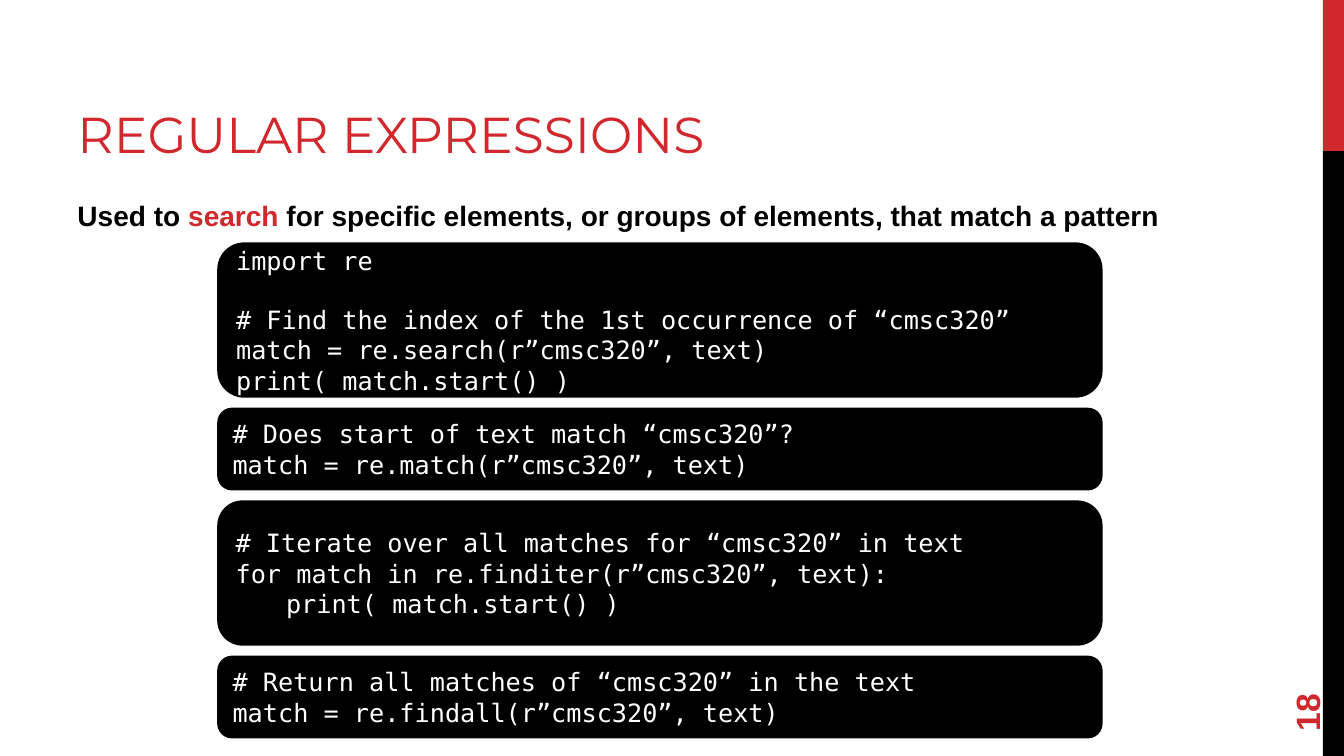
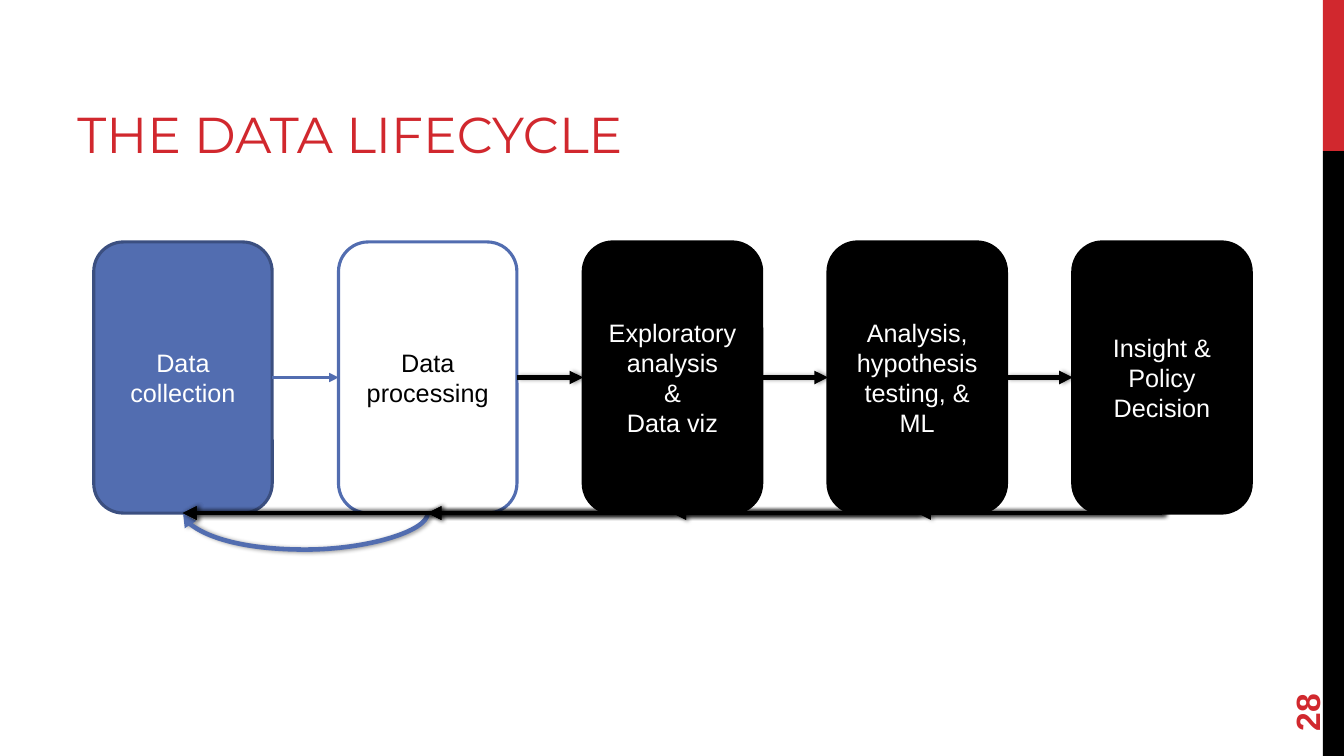
from lxml import etree
from pptx import Presentation
from pptx.dml.color import RGBColor
from pptx.enum.shapes import MSO_CONNECTOR, MSO_SHAPE
from pptx.enum.text import MSO_ANCHOR, PP_ALIGN
from pptx.oxml.ns import qn
from pptx.util import Emu, Inches, Pt

STRAIGHT, CURVE = MSO_CONNECTOR.STRAIGHT, MSO_CONNECTOR.CURVE
RECTANGLE, ROUNDED = MSO_SHAPE.RECTANGLE, MSO_SHAPE.ROUNDED_RECTANGLE
TOP, MIDDLE, BOTTOM = MSO_ANCHOR.TOP, MSO_ANCHOR.MIDDLE, MSO_ANCHOR.BOTTOM
LEFT, CENTER = PP_ALIGN.LEFT, PP_ALIGN.CENTER
SIDE_LEFT, SIDE_BOTTOM, SIDE_RIGHT = 1, 2, 3

COLORS = {
    "red": "D1282E",
    "black": "000000",
    "white": "FFFFFF",
    "blue": "526DB0",
    "navy": "3B4F80",
}
BODY_FONT, TITLE_FONT, CODE_FONT = "Arial", "Montserrat", "DejaVu Sans Mono"
CODE_LINE = 21  # points


def rgb(name):
    return RGBColor.from_string(COLORS[name])


def write_text(shape, text, font=BODY_FONT, size=18, color="black", bold=False,
               align=LEFT, anchor=MIDDLE, highlights=None):
    """Write lines of text; a blank line becomes space before the next one."""
    frame = shape.text_frame
    frame.word_wrap = True
    frame.vertical_anchor = anchor
    paragraph, skipped = frame.paragraphs[0], 0
    for index, line in enumerate(text.split("\n")):
        if not line:
            skipped += 1
            continue
        if index:
            paragraph = frame.add_paragraph()
        paragraph.alignment = align
        if skipped:
            paragraph.space_before = Pt(skipped * CODE_LINE)
            skipped = 0
        for part in line.split("*"):
            run = paragraph.add_run()
            run.text = part
            run.font.name, run.font.size, run.font.bold = font, Pt(size), bold
            run.font.color.rgb = rgb((highlights or {}).get(part, color))


def add_text(slide, box, text, rotation=0, **text_format):
    shape = slide.shapes.add_textbox(*map(Inches, box))
    shape.rotation = rotation
    write_text(shape, text, **text_format)


def add_box(slide, kind, box, fill, line=None):
    shape = slide.shapes.add_shape(kind, *map(Inches, box))
    shape.shadow.inherit = False
    shape.fill.solid()
    shape.fill.fore_color.rgb = rgb(fill)
    if line:
        shape.line.color.rgb = rgb(line)
        shape.line.width = Pt(2.25)
    else:
        shape.line.fill.background()
    return shape


def add_arrow(slide, start, end, sides, color, width=3.25, shadow=True, kind=STRAIGHT):
    connector = slide.shapes.add_connector(kind, 0, 0, 0, 0)
    connector.begin_connect(start, sides[0])
    connector.end_connect(end, sides[1])
    connector.line.color.rgb = rgb(color)
    connector.line.width = Pt(width)
    etree.SubElement(connector.line._get_or_add_ln(), qn("a:tailEnd"), type="triangle")
    properties = connector._element.spPr
    effects = etree.SubElement(properties, qn("a:effectLst"))
    if shadow:
        outer = etree.SubElement(effects, qn("a:outerShdw"), blurRad=str(Pt(3.1)),
                                 dist=str(Pt(1.8)), dir="0", rotWithShape="0")
        tint = etree.SubElement(outer, qn("a:srgbClr"), val=COLORS["black"])
        etree.SubElement(tint, qn("a:alpha"), val="40000")
    return connector


def add_loop(slide, start, end, depth, color):
    """Curved arrow that hangs below two boxes, from bottom to bottom."""
    connector = add_arrow(slide, start, end, (SIDE_BOTTOM, SIDE_BOTTOM), color, kind=CURVE)
    span = start.left - end.left
    middle = end.left + end.width // 2 + span // 2
    thickness = 635
    # A quarter turn makes the bend of the connector point down
    connector.left, connector.width = Emu(middle), Emu(thickness)
    connector.top, connector.height = Emu(start.top + start.height - span // 2), Emu(span)
    properties = connector._element.spPr
    transform = properties.find(qn("a:xfrm"))
    for flip in ("flipH", "flipV"):
        transform.attrib.pop(flip, None)
    transform.set("rot", "5400000")
    guides = properties.find(qn("a:prstGeom")).find(qn("a:avLst"))
    bend = round(Inches(depth) / thickness * 100000)
    etree.SubElement(guides, qn("a:gd"), name="adj1", fmla=f"val {bend}")


def add_base(presentation, title, number):
    """Blank slide with side bands, title and page number."""
    slide = presentation.slides.add_slide(presentation.slide_layouts[6])
    add_box(slide, RECTANGLE, (13.12, 0, 0.21, 1.5), "red")
    add_box(slide, RECTANGLE, (13.12, 1.5, 0.21, 6), "black")
    add_text(slide, (0.67, 0.17, 8.44, 1.5), title, font=TITLE_FONT, size=36,
             color="red", anchor=BOTTOM)
    add_text(slide, (12.24, 6.37, 1.44, 0.53), number, rotation=270, size=24,
             color="red", bold=True)
    return slide


def add_code_stack(slide, left, top, width, gap, blocks):
    """Black code panels, one below the other."""
    for height, code in blocks:
        panel = add_box(slide, ROUNDED, (left, top, width, height), "black", "black")
        write_text(panel, code, font=CODE_FONT, color="white")
        top += height + gap


def add_lifecycle(slide, box, stage_width, stages):
    """Row of stages with arrows forward and back to every earlier stage."""
    left, top, width, height = box
    pitch = (width - stage_width) / (len(stages) - 1)
    placed = []
    for index, (text, fill, line, color) in enumerate(stages):
        stage = add_box(slide, ROUNDED, (left + index * pitch, top, stage_width, height),
                        fill, line)
        write_text(stage, text, color=color, align=CENTER)
        if index == 1:
            add_arrow(slide, placed[0], stage, (SIDE_RIGHT, SIDE_LEFT), "blue",
                      width=2.25, shadow=False)
            add_loop(slide, stage, placed[0], 0.32, "blue")
        elif index > 1:
            add_arrow(slide, placed[-1], stage, (SIDE_RIGHT, SIDE_LEFT), "black")
            for earlier in reversed(placed):
                add_arrow(slide, stage, earlier, (SIDE_BOTTOM, SIDE_BOTTOM), "black")
        placed.append(stage)


def build_expressions(presentation):
    slide = add_base(presentation, "REGULAR EXPRESSIONS", "18")
    add_text(slide, (0.67, 1.92, 11.11, 0.45),
             "Used to *search* for specific elements, or groups of elements, that match a pattern",
             size=20, bold=True, anchor=TOP, highlights={"search": "red"})
    add_code_stack(slide, 2.17, 2.42, 8.75, 0.13, [
        (1.51, "import re\n\n# Find the index of the 1st occurrence of “cmsc320”\n"
               "match = re.search(r”cmsc320”, text)\nprint( match.start() )"),
        (0.79, "# Does start of text match “cmsc320”?\nmatch = re.match(r”cmsc320”, text)"),
        (1.41, "# Iterate over all matches for “cmsc320” in text\n"
               "for match in re.finditer(r”cmsc320”, text):\n\tprint( match.start() )"),
        (0.79, "# Return all matches of “cmsc320” in the text\n"
               "match = re.findall(r”cmsc320”, text)"),
    ])


def build_lifecycle(presentation):
    slide = add_base(presentation, "THE DATA LIFECYCLE", "28")
    dark = ("black", "black", "white")
    add_lifecycle(slide, (0.93, 2.4, 11.48, 2.69), 1.77, [
        ("Data collection", "blue", "navy", "white"),
        ("Data processing", "white", "blue", "black"),
        ("Exploratory analysis\n&\nData viz", *dark),
        ("Analysis, hypothesis testing, & ML", *dark),
        ("Insight & Policy Decision", *dark),
    ])


def main():
    presentation = Presentation()
    presentation.slide_width, presentation.slide_height = Inches(13.33), Inches(7.5)
    build_expressions(presentation)
    build_lifecycle(presentation)
    presentation.save("out.pptx")


if __name__ == "__main__":
    main()
